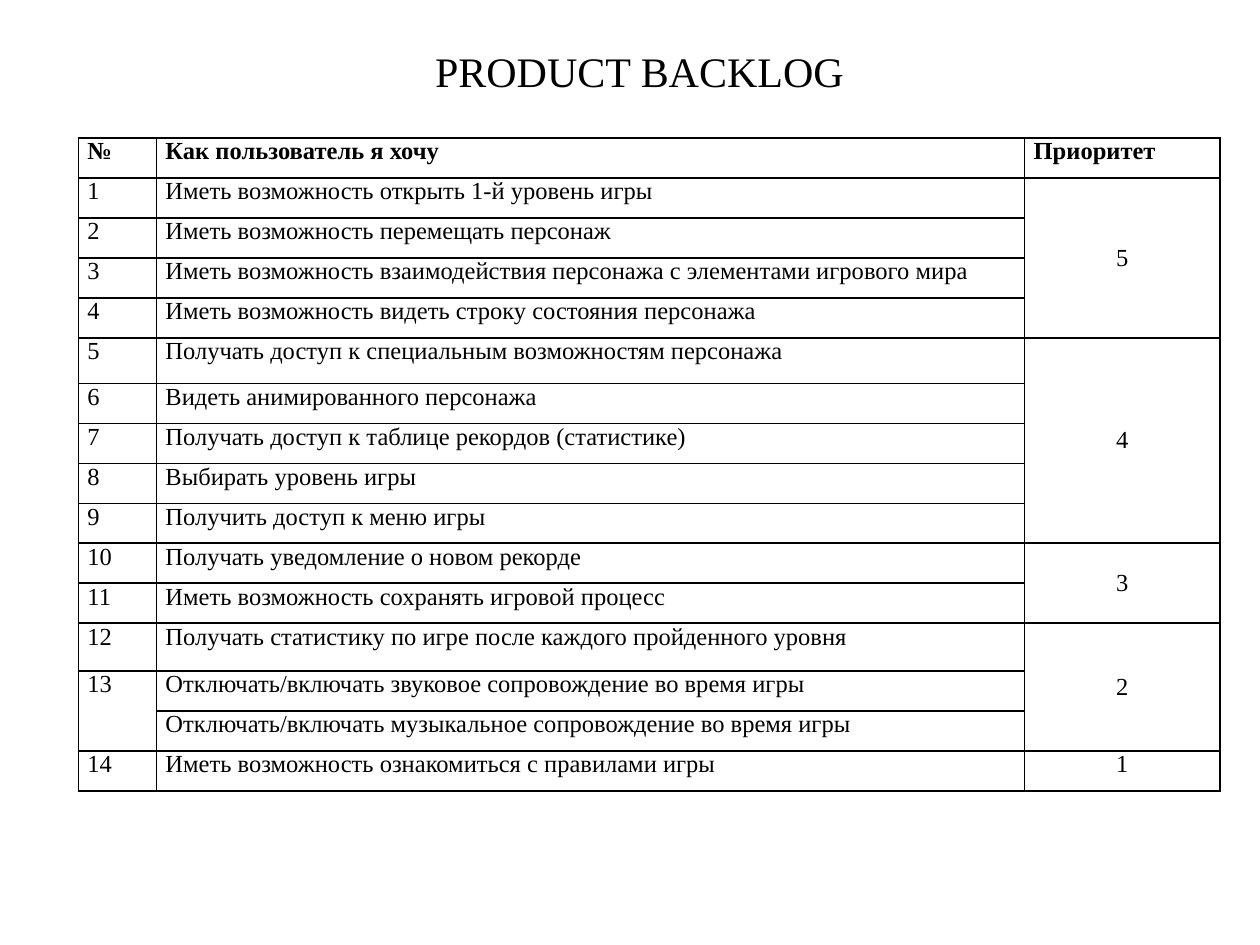
from lxml import etree
from pptx import Presentation
from pptx.dml.color import RGBColor
from pptx.enum import text
from pptx.oxml import ns
from pptx.util import Pt

TITLE = "PRODUCT BACKLOG"
HEADER = ("№", "Как пользователь я хочу", "Приоритет")
GROUPS = [
    ("5", [
        ("1", "Иметь возможность открыть 1-й уровень игры"),
        ("2", "Иметь возможность перемещать персонаж"),
        ("3", "Иметь возможность взаимодействия персонажа с элементами игрового мира"),
        ("4", "Иметь возможность видеть строку состояния персонажа"),
    ]),
    ("4", [
        ("5", "Получать доступ к специальным возможностям персонажа"),
        ("6", "Видеть анимированного персонажа"),
        ("7", "Получать доступ к таблице рекордов (статистике)"),
        ("8", "Выбирать уровень игры"),
        ("9", "Получить доступ к меню игры"),
    ]),
    ("3", [
        ("10", "Получать уведомление о новом рекорде"),
        ("11", "Иметь возможность сохранять игровой процесс"),
    ]),
    ("2", [
        ("12", "Получать статистику по игре после каждого пройденного уровня"),
        ("13", "Отключать/включать звуковое сопровождение во время игры"),
        ("", "Отключать/включать музыкальное сопровождение во время игры"),
    ]),
    ("1", [("14", "Иметь возможность ознакомиться с правилами игры")]),
]
FONT = "Times New Roman"
BLACK = "000000"
COLUMNS = (44.6, 496.1, 111.6)
ROW_HEIGHT = 22.85
TALL_ROWS = {"5": 26, "12": 27.4}


def rgb(color):
    return RGBColor.from_string(color)


def format_text(tf, size, bold=False, align=text.PP_ALIGN.LEFT):
    for p in tf.paragraphs:
        p.alignment = align
        for r in p.runs:
            r.font.name = FONT
            r.font.size = Pt(size)
            r.font.bold = bold
            r.font.color.rgb = rgb(BLACK)


def add_borders(cell):
    tc_pr = cell._tc.get_or_add_tcPr()
    for side in ("lnL", "lnR", "lnT", "lnB"):
        ln = etree.SubElement(tc_pr, ns.qn(f"a:{side}"), w=str(Pt(1)))
        fill = etree.SubElement(ln, ns.qn("a:solidFill"))
        etree.SubElement(fill, ns.qn("a:srgbClr"), val=BLACK)


def set_cell(cell, value, bold=False, align=text.PP_ALIGN.LEFT):
    cell.text_frame.text = value
    format_text(cell.text_frame, 14, bold, align)


def add_title(s):
    sp = s.shapes.title
    sp.left, sp.top, sp.width, sp.height = Pt(143.4), Pt(22.3), Pt(444), Pt(36)
    tf = sp.text_frame
    tf.text = TITLE
    tf.word_wrap = True
    tf.vertical_anchor = text.MSO_ANCHOR.MIDDLE
    format_text(tf, 24, align=text.PP_ALIGN.CENTER)


def add_backlog(s):
    stories = [story for _, group in GROUPS for story in group]
    heights = [ROW_HEIGHT] + [TALL_ROWS.get(n, ROW_HEIGHT) for n, _ in stories]
    table = s.shapes.add_table(
        len(heights), len(COLUMNS), Pt(44.8), Pt(78.8), Pt(sum(COLUMNS)), Pt(sum(heights))
    ).table
    table.first_row = table.horz_banding = False
    for column, width in zip(table.columns, COLUMNS):
        column.width = Pt(width)
    for row, height in zip(table.rows, heights):
        row.height = Pt(height)
    for cell in table.iter_cells():
        add_borders(cell)
        cell.fill.background()
        cell.margin_left = cell.margin_right = Pt(5.2)
        cell.margin_top = cell.margin_bottom = 0
        format_text(cell.text_frame, 14)

    for col, value in enumerate(HEADER):
        set_cell(table.cell(0, col), value, bold=True)
    for row, (number, story) in enumerate(stories, 1):
        if number:
            set_cell(table.cell(row, 0), number)
        else:
            table.cell(row - 1, 0).merge(table.cell(row, 0))
        set_cell(table.cell(row, 1), story)

    first = 1
    for priority, group in GROUPS:
        cell = table.cell(first, 2)
        if len(group) > 1:
            cell.merge(table.cell(first + len(group) - 1, 2))
            cell.vertical_anchor = text.MSO_ANCHOR.MIDDLE
        set_cell(cell, priority, align=text.PP_ALIGN.CENTER)
        first += len(group)


def main():
    prs = Presentation()
    prs.slide_width, prs.slide_height = Pt(720), Pt(540)
    s = prs.slides.add_slide(prs.slide_layouts[5])
    add_title(s)
    add_backlog(s)
    prs.save("out.pptx")


if __name__ == "__main__":
    main()
